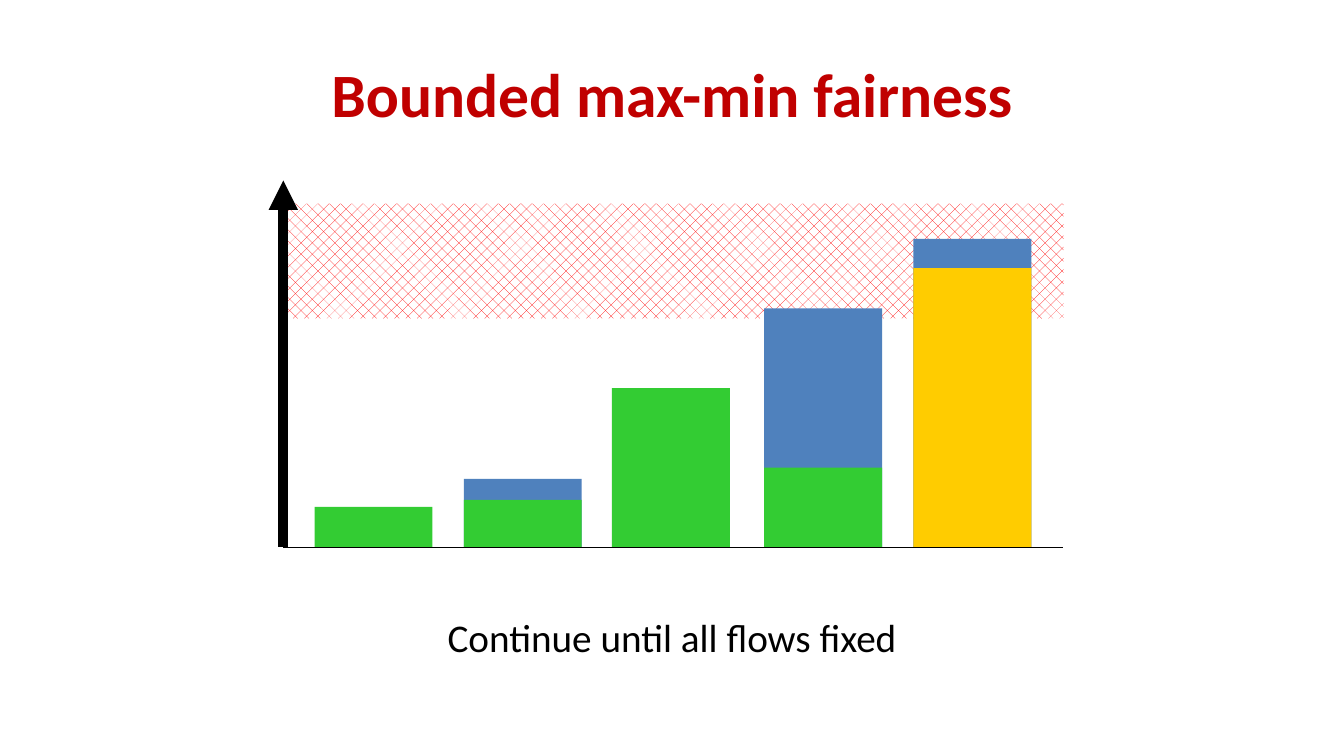
from lxml.etree import SubElement
from pptx import Presentation
from pptx.dml.color import RGBColor
from pptx.enum.dml import MSO_PATTERN
from pptx.enum.shapes import MSO_CONNECTOR, MSO_SHAPE
from pptx.enum.text import MSO_ANCHOR, PP_ALIGN
from pptx.oxml.ns import qn
from pptx.util import Inches, Pt

COLORS = {
    "title": "C00000",
    "black": "000000",
    "white": "FFFFFF",
    "hatch": "FF0000",
    "demand": "4F81BD",
    "fixed": "33CC33",
    "bounded": "FFCC00",
}
AXIS_LEFT = 2.81
BASELINE = 5.43
BAR_WIDTH = 1.17

presentation = Presentation()
presentation.slide_width = Inches(13.33)
presentation.slide_height = Inches(7.5)
slide = presentation.slides.add_slide(presentation.slide_layouts[5])


def add_rectangle(left, top, width, height):
    shape = slide.shapes.add_shape(
        MSO_SHAPE.RECTANGLE, Inches(left), Inches(top), Inches(width), Inches(height)
    )
    shape.shadow.inherit = False
    shape.line.fill.background()
    return shape


def write_centered(shape, text, size, color, bold):
    shape.text_frame.word_wrap = True
    paragraph = shape.text_frame.paragraphs[0]
    paragraph.alignment = PP_ALIGN.CENTER
    run = paragraph.add_run()
    run.text = text
    run.font.name = "Calibri"
    run.font.size = Pt(size)
    run.font.bold = bold
    run.font.color.rgb = RGBColor.from_string(COLORS[color])


# Hatched band behind the bars
band = add_rectangle(2.82, 2.02, 7.73, 1.14)
band.fill.patterned()
band.fill.pattern = MSO_PATTERN.PERCENT_25
band.fill.fore_color.rgb = RGBColor.from_string(COLORS["hatch"])
band.fill.back_color.rgb = RGBColor.from_string(COLORS["white"])

title = slide.shapes.title
title.left, title.top = Inches(0.67), Inches(0.3)
title.width, title.height = Inches(12), Inches(1.25)
title.text_frame.vertical_anchor = MSO_ANCHOR.MIDDLE
write_centered(title, "Bounded max-min fairness", 44, "title", True)

# Each flow: left edge, then its bars from back to front as (height, color)
flows = [
    (3.12, [(0.4, "fixed")]),
    (4.6, [(0.68, "demand"), (0.47, "fixed")]),
    (6.07, [(1.58, "fixed")]),
    (7.58, [(2.37, "demand"), (0.79, "fixed")]),
    (9.06, [(3.06, "demand"), (2.77, "bounded")]),
]
for left, bars in flows:
    for height, color in bars:
        bar = add_rectangle(left, BASELINE - height, BAR_WIDTH, height)
        bar.fill.solid()
        bar.fill.fore_color.rgb = RGBColor.from_string(COLORS[color])

# Axes: start point, end point, line width, arrowhead at the start
axes = [
    (AXIS_LEFT, BASELINE, 10.54, BASELINE, 0.75, False),
    (AXIS_LEFT, 1.79, AXIS_LEFT, BASELINE, 7, True),
]
for start_x, start_y, end_x, end_y, width, has_arrow in axes:
    axis = slide.shapes.add_connector(
        MSO_CONNECTOR.STRAIGHT,
        Inches(start_x), Inches(start_y), Inches(end_x), Inches(end_y),
    )
    axis.line.width = Pt(width)
    axis.line.color.rgb = RGBColor.from_string(COLORS["black"])
    properties = axis._element.spPr
    if has_arrow:
        SubElement(properties.find(qn("a:ln")), qn("a:headEnd"), type="triangle")
    SubElement(properties, qn("a:effectLst"))

caption = slide.shapes.add_textbox(Inches(0), Inches(6.04), Inches(13.33), Inches(0.57))
write_centered(caption, "Continue until all flows fixed", 28, "black", False)

presentation.save("out.pptx")
